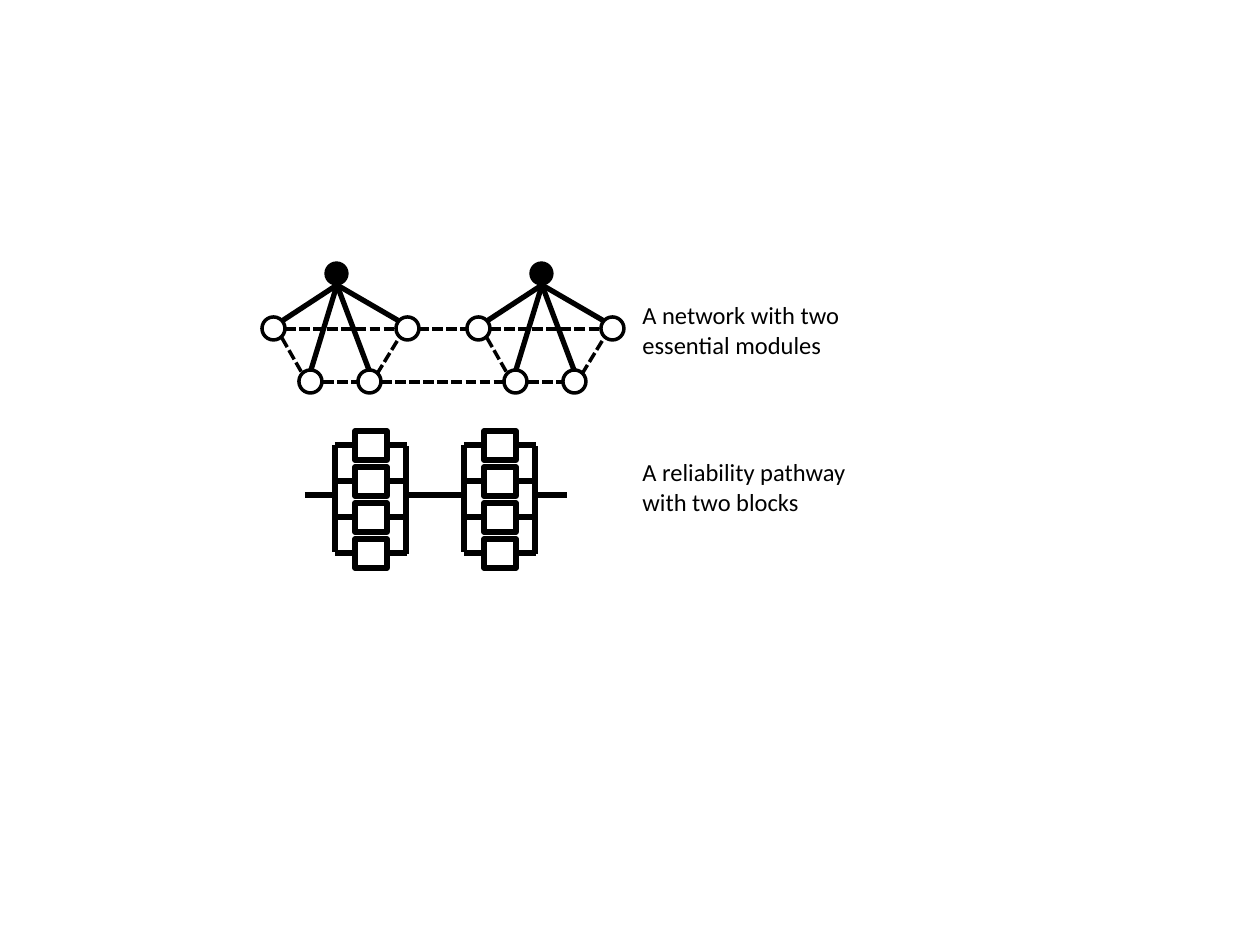
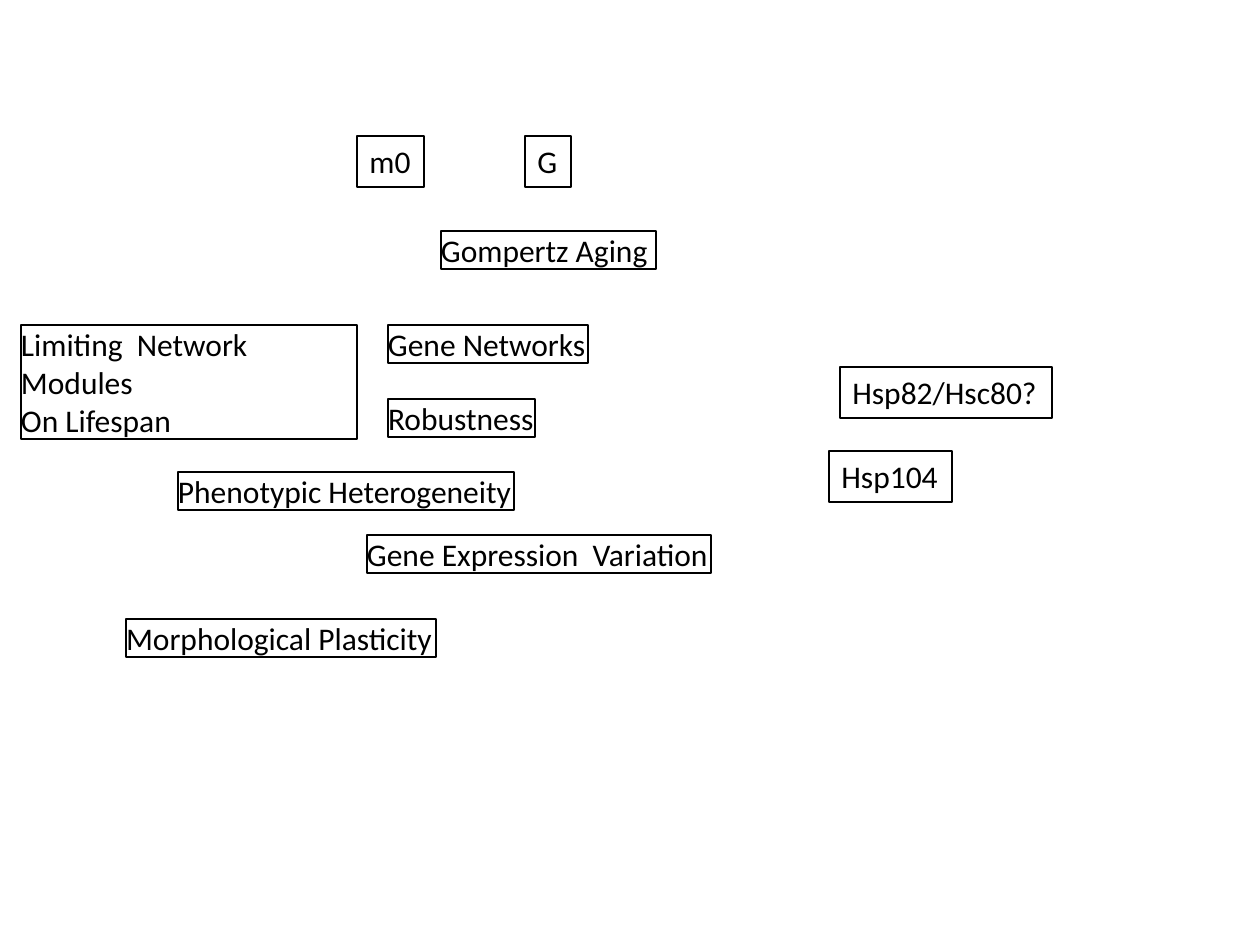
from dataclasses import dataclass

from lxml import etree
from pptx import Presentation
from pptx.dml.color import RGBColor
from pptx.enum.dml import MSO_LINE
from pptx.enum.shapes import MSO_CONNECTOR, MSO_SHAPE
from pptx.enum.text import MSO_AUTO_SIZE
from pptx.oxml.ns import qn
from pptx.util import Pt

SCALE = 914400 / 126
STRAIGHT = MSO_CONNECTOR.STRAIGHT
OVAL = MSO_SHAPE.OVAL
RECTANGLE = MSO_SHAPE.RECTANGLE
DASH = MSO_LINE.SQUARE_DOT
GROW = MSO_AUTO_SIZE.SHAPE_TO_FIT_TEXT
BLANK_LAYOUT = 6


def emu(*pixels):
    return [round(value * SCALE) for value in pixels]


@dataclass(frozen=True)
class Theme:
    ink: RGBColor = RGBColor(0, 0, 0)
    paper: RGBColor = RGBColor(255, 255, 255)
    font: str = "Calibri"
    caption: int = 14
    label: int = 18
    hairline: float = 0.75
    medium: int = 2
    heavy: int = 3


class Sketch:
    def __init__(self, theme):
        self.theme = theme
        self.deck = Presentation()
        self.deck.slide_width, self.deck.slide_height = emu(1260, 945)

    def new_page(self):
        layout = self.deck.slide_layouts[BLANK_LAYOUT]
        self.page = self.deck.slides.add_slide(layout)
        self.canvas = self.page.shapes

    def start_group(self):
        self.canvas = self.page.shapes.add_group_shape().shapes

    def outline(self, shape, width):
        shape.line.color.rgb = self.theme.ink
        shape.line.width = Pt(width)

    def shape(self, kind, left, top, width, height, weight, fill=None):
        shape = self.canvas.add_shape(kind, *emu(left, top, width, height))
        shape.shadow.inherit = False
        if fill is None:
            shape.fill.background()
        else:
            shape.fill.solid()
            shape.fill.fore_color.rgb = fill
        self.outline(shape, weight)

    def line(self, start, end, dashed=False):
        connector = self.canvas.add_connector(STRAIGHT, *emu(*start, *end))
        self.outline(connector, self.theme.medium if dashed else self.theme.heavy)
        if dashed:
            connector.line.dash_style = DASH
        etree.SubElement(connector._element.spPr, qn("a:effectLst"))

    def text(self, words, left, top, width, height, size):
        box = self.page.shapes.add_textbox(*emu(left, top, width, height))
        frame = box.text_frame
        frame.word_wrap = False
        frame.auto_size = GROW
        frame.text = words
        for paragraph in frame.paragraphs:
            for span in paragraph.runs:
                span.font.name = self.theme.font
                span.font.size = Pt(size)
                span.font.color.rgb = self.theme.ink
        return box

    def label(self, words, left, top, width, height=38, inset=False, wrap=False):
        box = self.text(words, left, top, width, height, self.theme.label)
        self.outline(box, self.theme.hairline)
        frame = box.text_frame
        frame.word_wrap = wrap
        if not inset:
            frame.margin_left = frame.margin_right = 0
            frame.margin_top = frame.margin_bottom = 0

    def module(self, shift):
        node = 23
        self.shape(OVAL, 325 + shift, 262, node, node, self.theme.hairline, self.theme.ink)
        for left, top in ((358, 370), (299, 370), (262, 317), (396, 317)):
            self.shape(OVAL, left + shift, top, node, node, self.theme.medium)
        for x, y in ((282, 321), (311, 370), (369, 370), (399, 321)):
            self.line((337 + shift, 285), (x + shift, y))
        for x1, y1, x2, y2 in (
            (377, 374, 399, 338),
            (323, 382, 358, 382),
            (285, 329, 396, 329),
            (282, 338, 302, 373),
        ):
            self.line((x1 + shift, y1), (x2 + shift, y2), dashed=True)

    def block(self, left):
        right = left + 72
        for row in range(4):
            middle = 445 + 36 * row
            self.line((left, middle), (right, middle))
            self.shape(RECTANGLE, left + 20, middle - 14, 32, 29,
                       self.theme.heavy, self.theme.paper)
        self.line((left, 445), (left, 552))
        self.line((right - 1, 446), (right - 1, 554))


theme = Theme()
sketch = Sketch(theme)

sketch.new_page()
sketch.text("A network with two \nessential modules", 630, 294, 231, 72, theme.caption)
sketch.text("A reliability pathway\nwith two blocks", 630, 451, 232, 72, theme.caption)

sketch.start_group()
for shift in (0, 205):
    sketch.module(shift)
for start, end, level in ((418, 467, 329), (381, 504, 382)):
    sketch.line((start, level), (end, level), dashed=True)

sketch.start_group()
for left in (335, 464):
    sketch.block(left)
for start, end in ((305, 335), (407, 437), (433, 464), (536, 567)):
    sketch.line((start, 495), (end, 495))

sketch.new_page()
for words, left, top, width in (
    ("Gene Networks", 388, 325, 200),
    ("Gompertz Aging", 441, 231, 215),
    ("Robustness", 388, 399, 147),
    ("Phenotypic Heterogeneity", 178, 472, 336),
    ("Gene Expression  Variation ", 367, 535, 344),
    ("Morphological Plasticity", 126, 619, 310),
):
    sketch.label(words, left, top, width)
for words, left, top, width in (
    ("G", 525, 136, 46),
    ("m0", 357, 136, 67),
    ("Hsp82/Hsc80?", 840, 367, 212),
    ("Hsp104", 829, 451, 123),
):
    sketch.label(words, left, top, width, 51, inset=True)
sketch.label("Limiting  Network Modules\nOn Lifespan", 21, 325, 336, 114, wrap=True)

sketch.deck.save("out.pptx")
